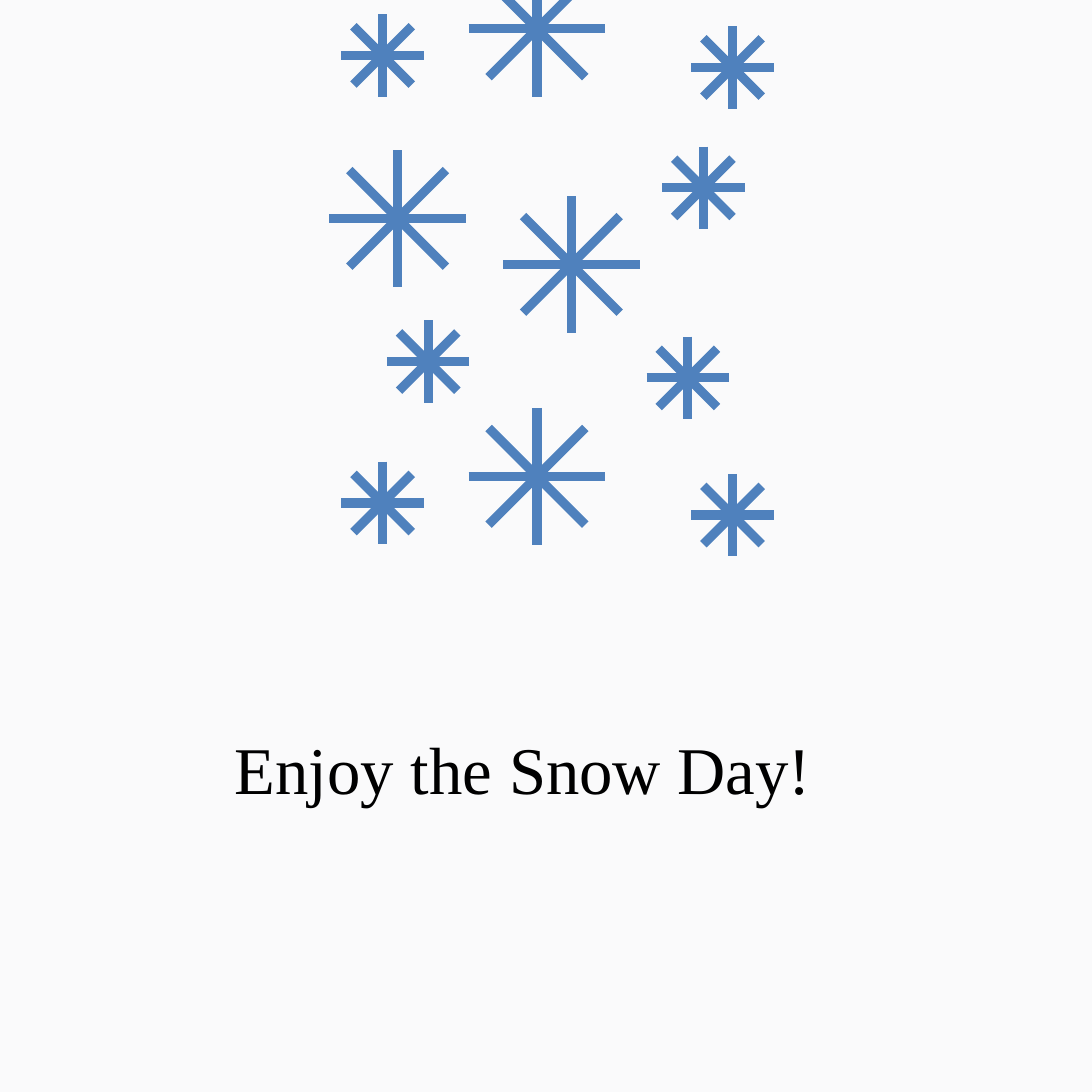
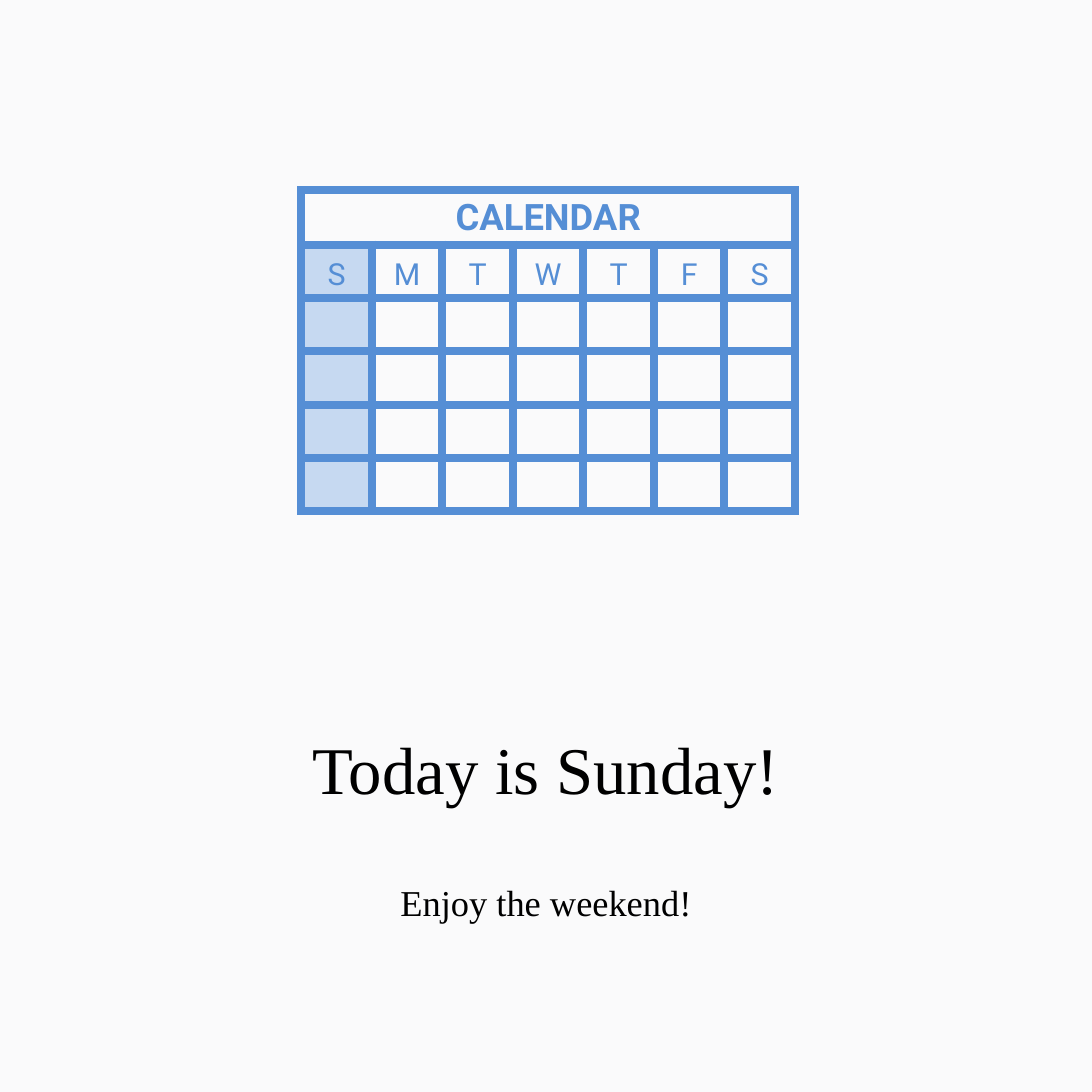
from dataclasses import dataclass
from math import cos, pi, sin

from lxml import etree
from pptx import Presentation
from pptx.dml.color import RGBColor
from pptx.enum.shapes import MSO_CONNECTOR
from pptx.enum.text import MSO_ANCHOR, MSO_AUTO_SIZE, PP_ALIGN
from pptx.oxml.ns import qn
from pptx.util import Cm, Pt

STRAIGHT = MSO_CONNECTOR.STRAIGHT
TOP, BOTTOM = MSO_ANCHOR.TOP, MSO_ANCHOR.BOTTOM
LEFT, CENTER = PP_ALIGN.LEFT, PP_ALIGN.CENTER
FIT_SHAPE = MSO_AUTO_SIZE.SHAPE_TO_FIT_TEXT

COLORS = {
    "background": "FAFAFB",
    "text": "000000",
    "snow": "4F81BD",
    "calendar": "558ED5",
    "today": "C6D9F1",
}
SERIF, SANS = "Times New Roman", "Roboto"
TITLE_ONLY = 5
LINE_WIDTH = Pt(6)
BIG, SMALL = 1.59, 0.96  # snowflake radii in cm
REPEAT_RISE = 10.41      # the lowest flakes appear again this far up
DAYS = "SMTWTFS"
ROW_COUNT = 6
COL_WIDTH, ROW_HEIGHT = 1.64, 1.24


@dataclass
class Box:
    left: float
    top: float
    width: float
    height: float

    def lengths(self) -> tuple:
        return Cm(self.left), Cm(self.top), Cm(self.width), Cm(self.height)


@dataclass
class Flake:
    x: float
    y: float
    radius: float


LOWEST_FLAKES = [
    Flake(12.49, 11.08, BIG),
    Flake(8.9, 11.7, SMALL),
    Flake(17.04, 11.98, SMALL),
]
FLAKES = [
    Flake(9.25, 5.08, BIG),
    Flake(13.29, 6.15, BIG),
    Flake(16.36, 4.37, SMALL),
    Flake(9.96, 8.41, SMALL),
    Flake(16, 8.79, SMALL),
] + LOWEST_FLAKES
REPEATED_FLAKES = [Flake(f.x, f.y - REPEAT_RISE, f.radius) for f in LOWEST_FLAKES]


def rgb(name: str) -> RGBColor:
    return RGBColor.from_string(COLORS[name])


def write(tf, text: str, size: int, font: str, color: str, align, bold: bool = False) -> None:
    tf.text = text
    p = tf.paragraphs[0]
    p.alignment = align
    r = p.runs[0]
    r.font.size, r.font.name, r.font.bold = Pt(size), font, bold
    r.font.color.rgb = rgb(color)


def write_message(sp, text: str, size: int, align) -> None:
    tf = sp.text_frame
    tf.word_wrap = True
    tf.auto_size = FIT_SHAPE
    tf.vertical_anchor = TOP
    write(tf, text, size, SERIF, "text", align)


def add_titled_slide(prs, title: str, box: Box, align):
    s = prs.slides.add_slide(prs.slide_layouts[TITLE_ONLY])
    sp = s.shapes.title
    sp.left, sp.top, sp.width, sp.height = box.lengths()
    write_message(sp, title, 44, align)
    return s


def add_flake(group, flake: Flake) -> None:
    for i in range(4):
        dx = flake.radius * cos(i * pi / 4)
        dy = flake.radius * sin(i * pi / 4)
        line = group.shapes.add_connector(
            STRAIGHT,
            Cm(flake.x - dx), Cm(flake.y - dy),
            Cm(flake.x + dx), Cm(flake.y + dy))
        line.line.color.rgb = rgb("snow")
        line.line.width = LINE_WIDTH
        etree.SubElement(line._element.spPr, qn("a:effectLst"))


def add_flakes(s, flakes: list[Flake]) -> None:
    group = s.shapes.add_group_shape()
    for flake in flakes:
        add_flake(group, flake)


def add_borders(cell) -> None:
    tcPr = cell._tc.get_or_add_tcPr()
    for i, side in enumerate(("lnL", "lnR", "lnT", "lnB")):
        ln = etree.Element(qn(f"a:{side}"), w=str(LINE_WIDTH))
        fill = etree.SubElement(ln, qn("a:solidFill"))
        etree.SubElement(fill, qn("a:srgbClr"), val=COLORS["calendar"])
        tcPr.insert(i, ln)


def add_calendar(s, left: float, top: float, today: int) -> None:
    box = Box(left, top, COL_WIDTH * len(DAYS), ROW_HEIGHT * ROW_COUNT)
    table = s.shapes.add_table(ROW_COUNT, len(DAYS), *box.lengths()).table
    table.first_row = table.horz_banding = False
    for column in table.columns:
        column.width = Cm(COL_WIDTH)
    for row in table.rows:
        row.height = Cm(ROW_HEIGHT)

    # Grid and highlighted day
    for i in range(ROW_COUNT):
        for j in range(len(DAYS)):
            cell = table.cell(i, j)
            if i > 0 and j == today:
                cell.fill.solid()
                cell.fill.fore_color.rgb = rgb("today")
            else:
                cell.fill.background()
            cell.vertical_anchor = BOTTOM
            add_borders(cell)

    # Heading and day letters
    heading = table.cell(0, 0)
    heading.merge(table.cell(0, len(DAYS) - 1))
    write(heading.text_frame, "CALENDAR", 24, SANS, "calendar", CENTER, bold=True)
    for j, day in enumerate(DAYS):
        write(table.cell(1, j).text_frame, day, 20, SANS, "calendar", CENTER)


def main() -> None:
    prs = Presentation()
    prs.slide_width = prs.slide_height = Cm(25.4)
    fill = prs.slide_master.background.fill
    fill.solid()
    fill.fore_color.rgb = rgb("background")

    # Slide 1: snow day
    s = add_titled_slide(prs, "Enjoy the Snow Day!", Box(5.21, 16.79, 14.99, 2.13), LEFT)
    add_flakes(s, FLAKES)
    add_flakes(s, REPEATED_FLAKES)

    # Slide 2: Sunday
    s = add_titled_slide(prs, "Today is Sunday!", Box(6.6, 16.79, 12.2, 2.13), CENTER)
    sp = s.shapes.add_textbox(*Box(8.66, 20.35, 8.08, 1.27).lengths())
    write_message(sp, "Enjoy the weekend!", 24, CENTER)
    add_calendar(s, 7.01, 4.42, today=0)

    prs.save("out.pptx")


if __name__ == "__main__":
    main()
